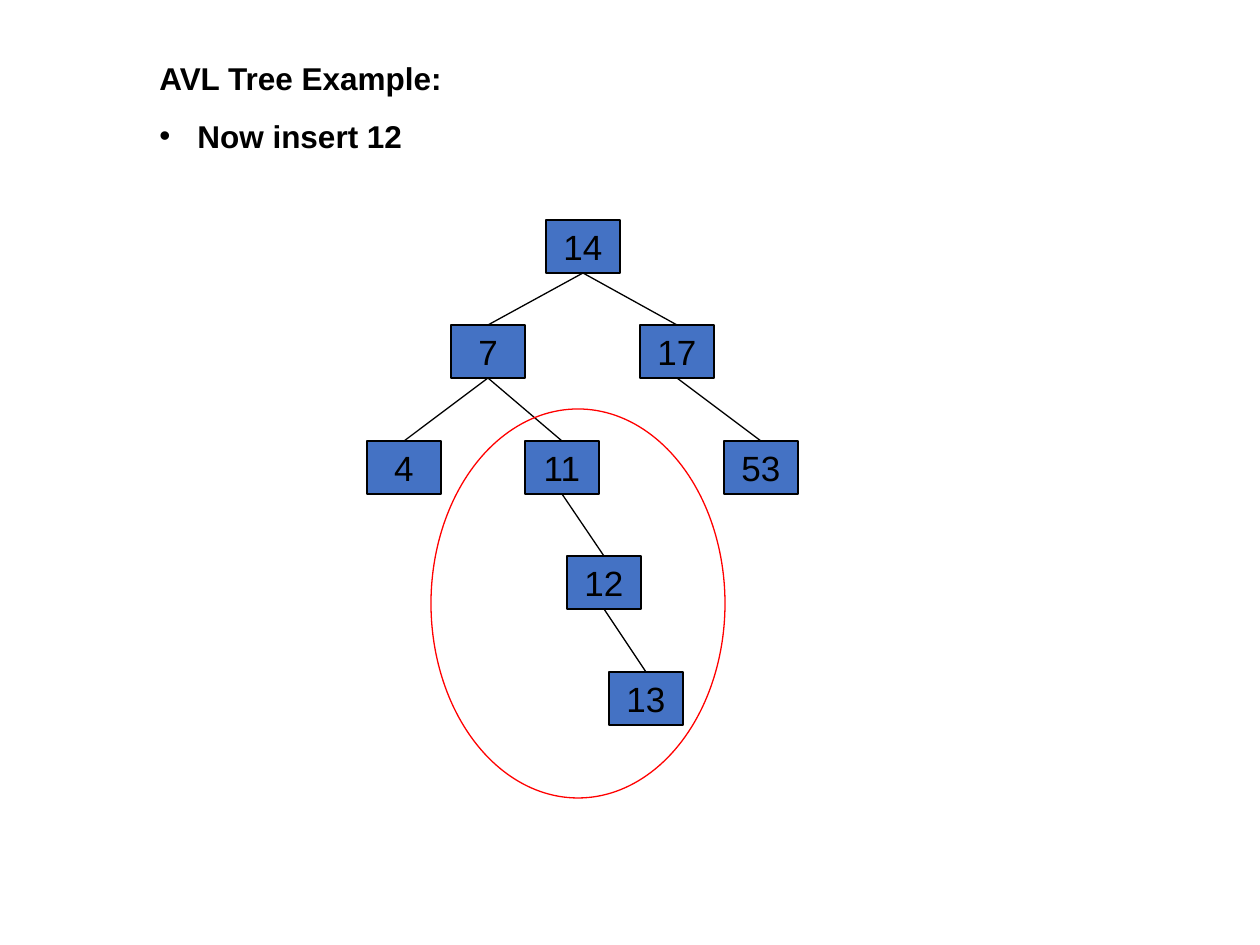
from lxml import etree
from pptx import Presentation
from pptx.dml.color import RGBColor
from pptx.enum.shapes import MSO_CONNECTOR, MSO_SHAPE
from pptx.enum.text import MSO_ANCHOR, PP_ALIGN
from pptx.oxml.ns import qn
from pptx.util import Pt

RECT, OVAL = MSO_SHAPE.RECTANGLE, MSO_SHAPE.OVAL
LINE = MSO_CONNECTOR.STRAIGHT
MID = MSO_ANCHOR.MIDDLE
LEFT, CENTER = PP_ALIGN.LEFT, PP_ALIGN.CENTER
PX = 914400 / 126
HUES = {"ink": "000000", "node": "4472C4", "ring": "FF0000"}
HUES = {name: RGBColor.from_string(code) for name, code in HUES.items()}


def px(*nums):
    return [round(num * PX) for num in nums]


def put(para, text, size=20, bold=False, align=LEFT, gap=0, bullet=None):
    if bullet:
        props = para._p.get_or_add_pPr()
        inset = px(38)[0]
        props.set("marL", str(inset))
        props.set("indent", str(-inset))
        etree.SubElement(props, qn("a:buFont"), typeface="Arial")
        etree.SubElement(props, qn("a:buChar"), char=bullet)
    para.alignment = align
    para.space_before = Pt(gap)
    run = para.add_run()
    run.text = text
    font = run.font
    font.name, font.size, font.bold = "Arial", Pt(size), bold
    font.color.rgb = HUES["ink"]


deck = Presentation()
deck.slide_width, deck.slide_height = px(1260, 945)
slide = deck.slides.add_slide(deck.slide_layouts[6])
shapes = slide.shapes

frame = shapes.add_textbox(*px(147, 53, 987, 108)).text_frame
frame.word_wrap = True
put(frame.paragraphs[0], "AVL Tree Example:", size=18, bold=True)
put(frame.add_paragraph(), "Now insert 12", size=18, bold=True, gap=11.2, bullet="•")

tree = [
    ("14", 546, 220, None),
    ("7", 451, 325, "14"),
    ("17", 640, 325, "14"),
    ("4", 367, 441, "7"),
    ("11", 525, 441, "7"),
    ("53", 724, 441, "17"),
    ("12", 567, 556, "11"),
    ("13", 609, 672, "12"),
]
nodes = {}
for key, left, top, root in tree:
    node = shapes.add_shape(RECT, *px(left, top, 74, 53))
    node.shadow.inherit = False
    node.fill.solid()
    node.fill.fore_color.rgb = HUES["node"]
    node.line.color.rgb = HUES["ink"]
    node.line.width = Pt(0.75)
    frame = node.text_frame
    frame.word_wrap = False
    frame.vertical_anchor = MID
    put(frame.paragraphs[0], key, align=CENTER)
    nodes[key] = node
    if root:
        edge = shapes.add_connector(LINE, 0, 0, 0, 0)
        edge.begin_connect(nodes[root], 2)
        edge.end_connect(node, 0)
        edge.line.color.rgb = HUES["ink"]
        edge.line.width = Pt(0.75)
        etree.SubElement(edge._element.spPr, qn("a:effectLst"))

ring = shapes.add_shape(OVAL, *px(431, 409, 294, 389))
ring.shadow.inherit = False
ring.fill.background()
ring.line.color.rgb = HUES["ring"]
ring.line.width = Pt(0.75)

deck.save("out.pptx")
